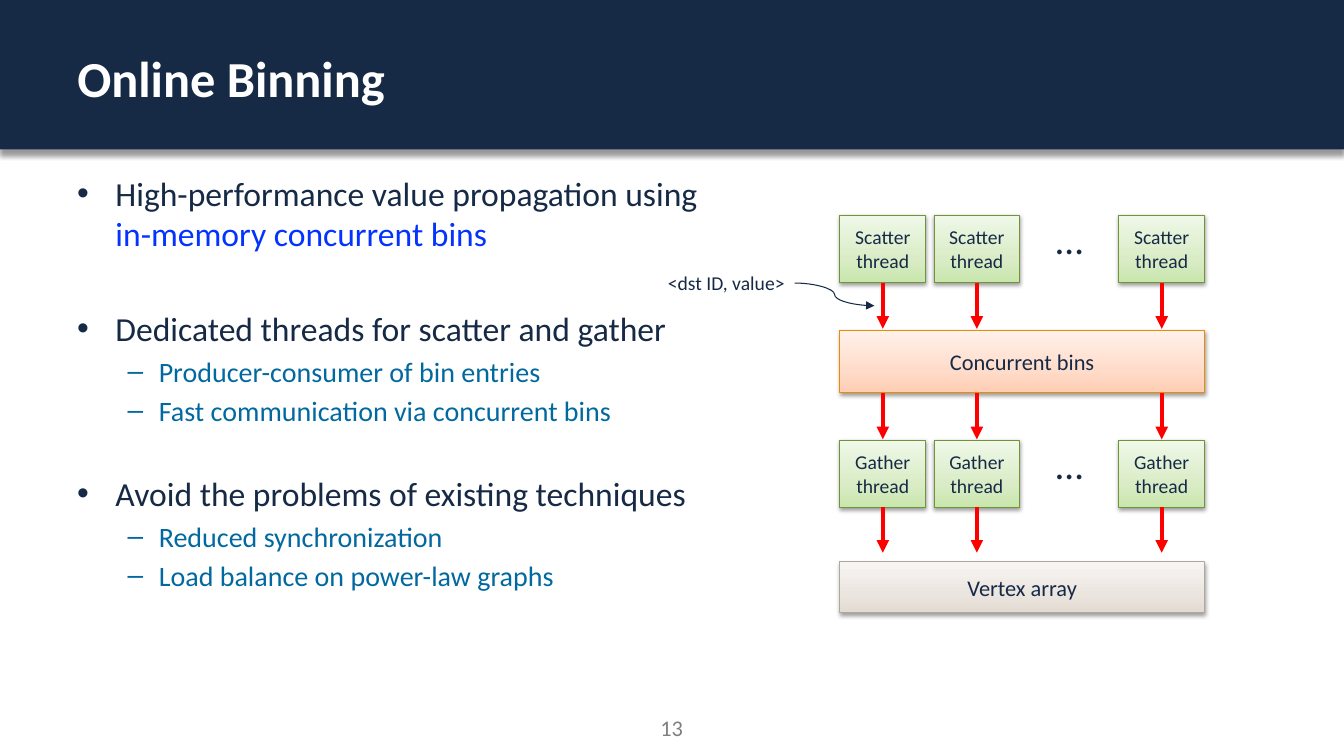
import copy
from typing import NamedTuple

import lxml.etree
import pptx
import pptx.dml.color
import pptx.enum.shapes
import pptx.enum.text
import pptx.oxml
import pptx.oxml.ns
import pptx.util

RGBColor = pptx.dml.color.RGBColor
Pt = pptx.util.Pt
ALIGN = pptx.enum.text.PP_ALIGN
ANCHOR = pptx.enum.text.MSO_ANCHOR
CONNECTOR = pptx.enum.shapes.MSO_CONNECTOR
RECTANGLE = pptx.enum.shapes.MSO_SHAPE.RECTANGLE
qn = pptx.oxml.ns.qn

FONT = "Calibri"
NAVY = RGBColor(0x16, 0x2A, 0x46)
WHITE = RGBColor(0xFF, 0xFF, 0xFF)
GRAY = RGBColor(0x80, 0x80, 0x80)
BLUE = RGBColor(0x04, 0x32, 0xFF)
TEAL = RGBColor(0x01, 0x69, 0xA0)
RED = RGBColor(0xFF, 0x00, 0x00)
GREEN_LINE = RGBColor(0x71, 0x94, 0x3B)
GREEN_STOPS = RGBColor(0xC9, 0xE6, 0xAD), RGBColor(0xD9, 0xEC, 0xC6), RGBColor(0xF0, 0xF8, 0xE9)
ORANGE_LINE = RGBColor(0xE9, 0x8C, 0x00)
ORANGE_STOPS = RGBColor(0xFF, 0xCE, 0xB4), RGBColor(0xFF, 0xDC, 0xCA), RGBColor(0xFF, 0xF1, 0xEB)
TAUPE_LINE = RGBColor(0xAF, 0xA8, 0x9F)
TAUPE_STOPS = RGBColor(0xE3, 0xDB, 0xD2), RGBColor(0xEB, 0xE5, 0xDF), RGBColor(0xF7, 0xF5, 0xF2)

SLIDE_WIDTH, SLIDE_HEIGHT = pptx.util.Inches(13.33), pptx.util.Inches(7.5)
COLUMNS, ROWS = 160, 90

BULLETS = [
    (0, "High-performance value propagation using ", 0),
    (0, "Dedicated threads for scatter and gather", 39),
    (1, "Producer-consumer of bin entries", 4),
    (1, "Fast communication via concurrent bins", 4),
    (0, "Avoid the problems of existing techniques", 33),
    (1, "Reduced synchronization", 4),
    (1, "Load balance on power-law graphs", 4),
]
LEVELS = [("•", 24, NAVY, 0.38, 0.38), ("–", 20, TEAL, 0.81, 0.31)]


class Box(NamedTuple):
    """A region in grid columns and rows."""
    left: float
    top: float
    width: float
    height: float

    def inner(self, left, top, width, height):
        """Return a box placed from this box's top left corner."""
        return Box(self.left + left, self.top + top, width, height)

    def lengths(self):
        """Return left, top, width and height as slide lengths."""
        column, row = SLIDE_WIDTH / COLUMNS, SLIDE_HEIGHT / ROWS
        return [round(size * unit) for size, unit in zip(self, (column, row, column, row))]


def style_font(font, size, color, bold=False):
    """Set the face, size, colour and weight of a font."""
    font.name, font.size, font.bold = FONT, Pt(size), bold
    font.color.rgb = color


def write(shape, text, size, color, align, anchor=ANCHOR.MIDDLE, wrap=True, bold=False):
    """Put one styled paragraph into a shape."""
    frame = shape.text_frame
    frame.text, frame.word_wrap, frame.vertical_anchor = text, wrap, anchor
    frame.paragraphs[0].alignment = align
    style_font(frame.paragraphs[0].runs[0].font, size, color, bold)


def add_label(slide, box, *text, **options):
    """Add a text box with one paragraph."""
    write(slide.shapes.add_textbox(*box.lengths()), *text, **options)


def add_shadow(shape, alpha, blur, distance):
    """Give a shape a soft black shadow that falls downwards."""
    shape.shadow.inherit = False
    effects = shape.element.spPr.find(qn("a:effectLst"))
    shadow = lxml.etree.SubElement(
        effects, qn("a:outerShdw"), blurRad=str(Pt(blur)), dist=str(Pt(distance)),
        dir="5400000", rotWithShape="0")
    color = lxml.etree.SubElement(shadow, qn("a:srgbClr"), val="000000")
    lxml.etree.SubElement(color, qn("a:alpha"), val=str(alpha * 1000))


def add_block(slide, box, text, size, stops, line_color):
    """Add a shaded rectangle with centred text."""
    block = slide.shapes.add_shape(RECTANGLE, *box.lengths())
    block.fill.gradient()
    stop_list = block.element.spPr.find(".//" + qn("a:gsLst"))
    stop_list.insert(1, copy.deepcopy(stop_list[0]))
    for stop, position, color in zip(block.fill.gradient_stops, (0, 0.35, 1), stops):
        stop.position, stop.color.rgb = position, color
    block.fill.gradient_angle = 90
    block.line.color.rgb, block.line.width = line_color, Pt(0.75)
    add_shadow(block, 38, 3.1, 1.6)
    write(block, text, size, NAVY, ALIGN.CENTER)


def add_arrow(slide, box, color, width, kind=CONNECTOR.STRAIGHT):
    """Add an arrow from the top left to the bottom right of a box."""
    left, top, across, down = box.lengths()
    arrow = slide.shapes.add_connector(kind, left, top, left + across, top + down)
    arrow.line.color.rgb, arrow.line.width = color, Pt(width)
    lxml.etree.SubElement(arrow.line._get_or_add_ln(), qn("a:tailEnd"), type="triangle")
    lxml.etree.SubElement(arrow.element.spPr, qn("a:effectLst"))


def add_header(slide, box):
    """Place the title on a dark bar."""
    title = slide.shapes.title
    bar = slide.shapes.add_shape(RECTANGLE, *box.lengths())
    bar.fill.solid()
    bar.fill.fore_color.rgb = NAVY
    bar.line.fill.background()
    add_shadow(bar, 40, 4, 4)
    title.element.addprevious(bar.element)
    title.left, title.top, title.width, title.height = box.inner(8, 0.7, 144, 17.1).lengths()
    write(title, "Online Binning", 36, WHITE, ALIGN.LEFT, bold=True)


def add_bullets(slide, box):
    """Add the two-level bullet list."""
    frame = slide.shapes.add_textbox(*box.lengths()).text_frame
    frame.word_wrap = True
    for index, (level, text, space) in enumerate(BULLETS):
        mark, size, color, margin, hanging = LEVELS[level]
        paragraph = frame.add_paragraph() if index else frame.paragraphs[0]
        paragraph.text, paragraph.level, paragraph.space_before = text, level, Pt(space)
        properties = paragraph._p.get_or_add_pPr()
        properties.set("marL", str(pptx.util.Inches(margin)))
        properties.set("indent", str(-pptx.util.Inches(hanging)))
        lxml.etree.SubElement(properties, qn("a:buFont"), typeface="Arial")
        lxml.etree.SubElement(properties, qn("a:buChar"), char=mark)
        style_font(paragraph.runs[0].font, size, color)
    highlight = frame.paragraphs[0].add_run()
    highlight.text = "in-memory concurrent bins"
    style_font(highlight.font, 24, BLUE)


def add_diagram(slide, box):
    """Draw the threads, bins and vertex array with the arrows between them."""
    thread_width, thread_height = 10.2, 8
    thread_lefts = 0, 11.2, 33.2
    for name, top in (("Scatter", 0), ("Gather", 26.8)):
        for left in thread_lefts:
            thread = box.inner(left, top, thread_width, thread_height)
            add_block(slide, thread, f"{name} thread", 14, GREEN_STOPS, GREEN_LINE)
        add_label(slide, box.inner(23.2, top - 0.55, 8.2, 6.8), "…", 28, NAVY, ALIGN.CENTER)
    bins = box.inner(0, 13.7, box.width, 7.4)
    add_block(slide, bins, "Concurrent bins", 16, ORANGE_STOPS, ORANGE_LINE)
    vertices = box.inner(0, 41.3, box.width, 6)
    add_block(slide, vertices, "Vertex array", 16, TAUPE_STOPS, TAUPE_LINE)
    for top in (8.05, 21.2, 34.7):
        for left in thread_lefts:
            add_arrow(slide, box.inner(left + thread_width / 2, top, 0, 5.5), RED, 3)
    add_label(slide, box.inner(-22.4, 6.1, 17, 4.1), "<dst ID, value>", 14, NAVY,
              ALIGN.RIGHT, anchor=ANCHOR.TOP)
    add_arrow(slide, box.inner(-5.4, 8.1, 9.5, 2.7), NAVY, 0.75, CONNECTOR.CURVE)


def main():
    """Build and save the slide."""
    presentation = pptx.Presentation()
    presentation.slide_width, presentation.slide_height = SLIDE_WIDTH, SLIDE_HEIGHT
    slide = presentation.slides.add_slide(presentation.slide_layouts[5])
    add_header(slide, Box(0, 0, COLUMNS, 17.8))
    add_bullets(slide, Box(8, 20, 80, 54))
    add_diagram(slide, Box(100, 25.6, 43.4, 47.3))
    add_label(slide, Box(77.2, 84.4, 5.5, 4.4), "13", 16, GRAY, ALIGN.CENTER,
              anchor=ANCHOR.TOP, wrap=False)
    presentation.save("out.pptx")


if __name__ == "__main__":
    main()
